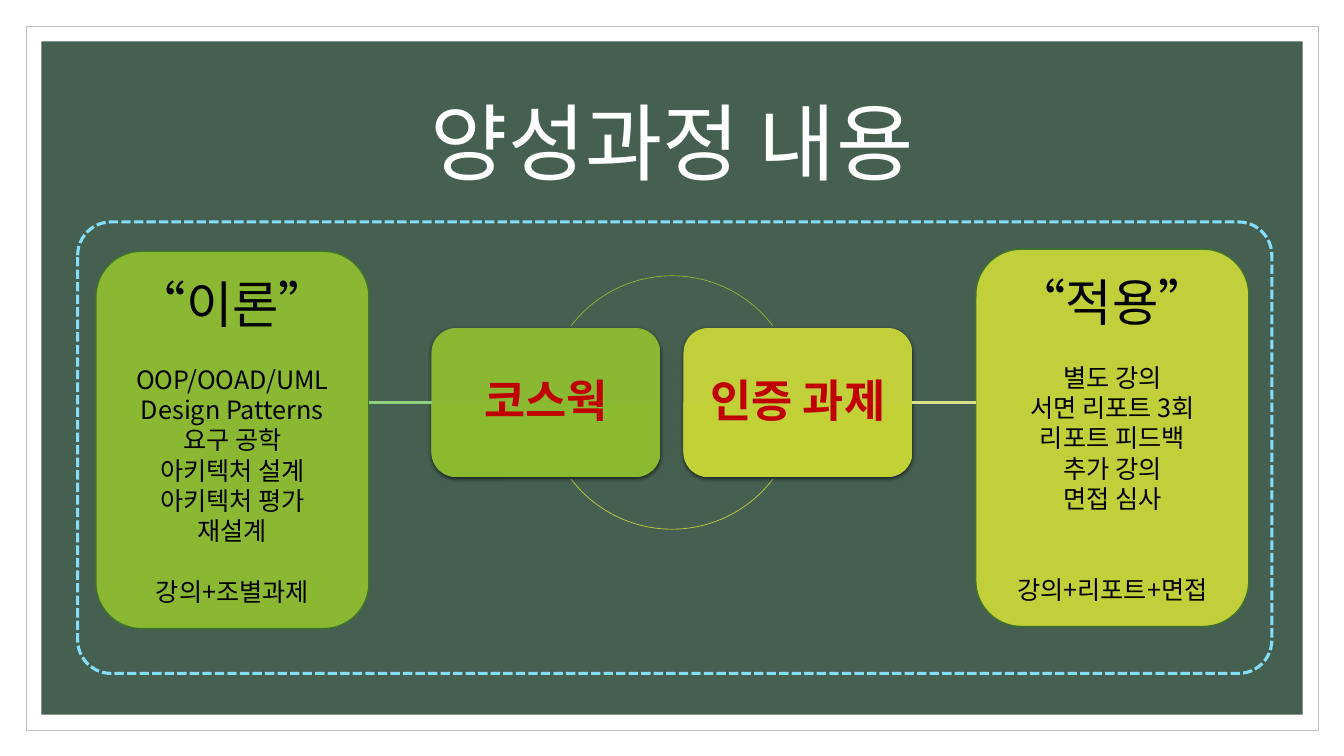
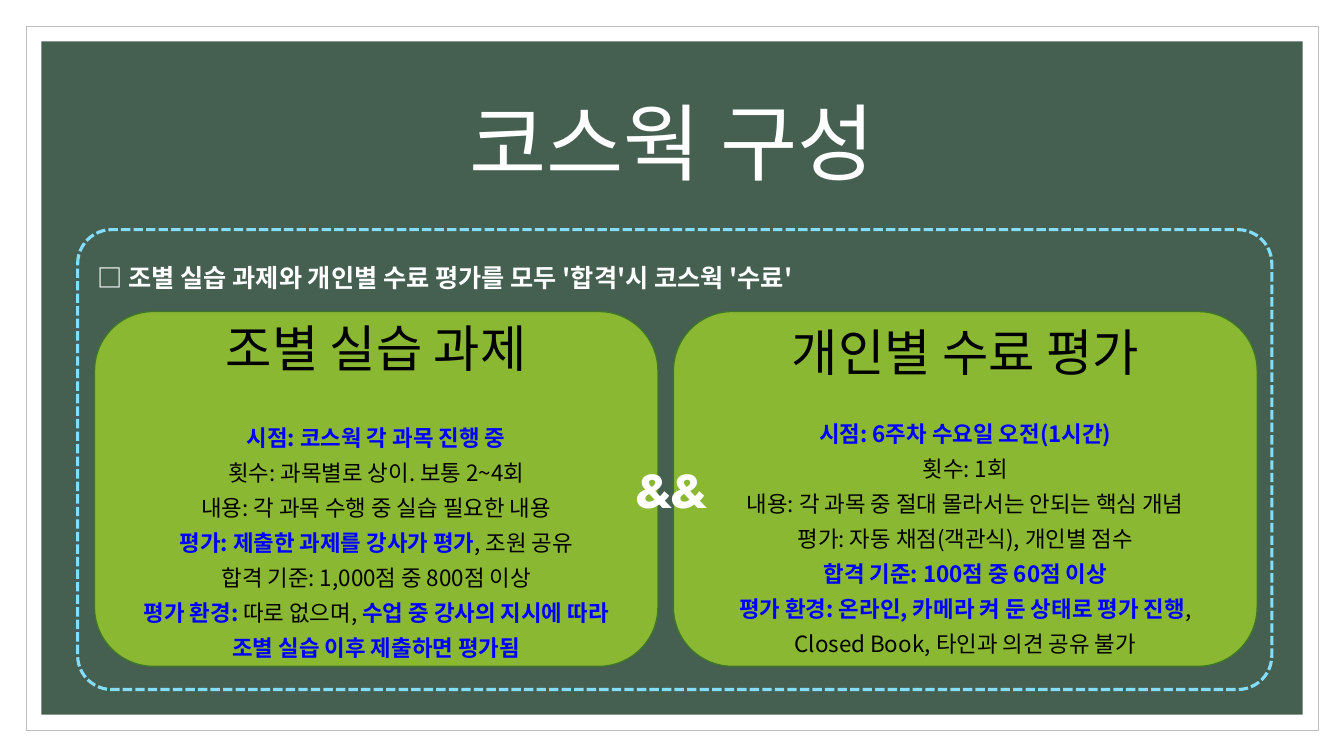
from dataclasses import dataclass
from lxml.etree import SubElement
from pptx import Presentation
from pptx.dml.color import RGBColor
from pptx.enum.dml import MSO_LINE
from pptx.enum.shapes import MSO_CONNECTOR, MSO_SHAPE
from pptx.enum.text import MSO_ANCHOR, PP_ALIGN
from pptx.oxml.ns import qn
from pptx.util import Pt


@dataclass(frozen=True)
class Style:
    size: float
    color: str
    bold: bool = False
    leading: float = 1.2
    font: str = "Noto Sans CJK KR"


@dataclass(frozen=True)
class Theme:
    paper: str = "FFFFFF"
    frame: str = "BFBFBF"
    board: str = "455F51"
    dash: str = "84DDF9"
    green: str = "8AB833"
    lime: str = "C0CF3A"
    card_edge: str = "3E752A"
    green_link: str = "93D07D"
    lime_link: str = "D9E289"
    green_end: str = "8ABA2F"
    lime_end: str = "C1D136"
    shadow: str = "000000"
    title: Style = Style(60, "FFFFFF", leading=1.08)
    heading: Style = Style(36, "000000")
    item: Style = Style(18, "000000")
    detail: Style = Style(16, "000000", leading=1.56)
    key: Style = Style(16, "0000FF", bold=True, leading=1.56)
    step: Style = Style(32, "C00000", bold=True, leading=1.08)
    notice: Style = Style(18, "FFFFFF", bold=True)
    joiner: Style = Style(36, "FFFFFF", bold=True, font="League Spartan")


THEME = Theme()
WIDTH, HEIGHT = 960, 540
FRAME_MARGIN, BOARD_MARGIN = 18.5, 29.5
TITLE_AREA = (84, 50.5, 792, 108)
PANEL_LEFT, PANEL_WIDTH = 55.5, 853
STEP_WIDTH, STEP_HEIGHT, STEP_GAP = 163.5, 106.5, 16.5
CENTRE_X, CENTRE_Y = WIDTH / 2, 287.5
RING_RADIUS = 90.5
RING_ARCS = [(217.2, 322.8, THEME.green), (37.2, 142.8, THEME.lime)]
LINKS = [(263.5, 308.5, THEME.green_link), (651.5, 697, THEME.lime_link)]
STEPS = [
    ("코스웍", THEME.green, THEME.green_end),
    ("인증 과제", THEME.lime, THEME.lime_end),
]


def single(text, style, gap=0):
    return gap, [(text, style)]


def card_rows(heading, items, gap, closing):
    first, *rest = items
    return [
        single(heading, THEME.heading),
        single(first, THEME.item, 21.6),
        *[single(text, THEME.item) for text in rest],
        single(closing, THEME.item, gap),
    ]


CONTENT_CARDS = [
    ((68.5, 179.5, 195, 269.5), THEME.green, card_rows(
        "“이론”",
        ["OOP/OOAD/UML", "Design Patterns", "요구 공학",
         "아키텍처 설계", "아키텍처 평가", "재설계"],
        21.6, "강의+조별과제")),
    ((697, 178, 195, 269.5), THEME.lime, card_rows(
        "“적용”",
        ["별도 강의", "서면 리포트 3회", "리포트 피드백", "추가 강의", "면접 심사"],
        43.2, "강의+리포트+면접")),
]
COURSEWORK_CARDS = [
    ((67.5, 222.5, 402.5, 253.5), THEME.green, [
        single("조별 실습 과제", THEME.heading),
        single("시점: 코스웍 각 과목 진행 중", THEME.key, 28),
        single("횟수: 과목별로 상이. 보통 2~4회", THEME.detail),
        single("내용: 각 과목 수행 중 실습 필요한 내용", THEME.detail),
        (0, [("평가: 제출한 과제를 강사가 평가", THEME.key),
             (", 조원 공유", THEME.detail)]),
        single("합격 기준: 1,000점 중 800점 이상", THEME.detail),
        (0, [("평가 환경: ", THEME.key), ("따로 없으며, ", THEME.detail),
             ("수업 중 강사의 지시에 따라 조별 실습 이후 제출하면 평가됨", THEME.key)]),
    ]),
    ((481, 222.5, 417, 253.5), THEME.green, [
        single("개인별 수료 평가", THEME.heading),
        single("시점: 6주차 수요일 오전(1시간)", THEME.key, 21.6),
        single("횟수: 1회", THEME.detail),
        single("내용: 각 과목 중 절대 몰라서는 안되는 핵심 개념", THEME.detail),
        single("평가: 자동 채점(객관식), 개인별 점수", THEME.detail),
        single("합격 기준: 100점 중 60점 이상", THEME.key),
        (0, [("평가 환경: 온라인, 카메라 켜 둔 상태로 평가 진행", THEME.key),
             (",", THEME.detail)]),
        single("Closed Book, 타인과 의견 공유 불가", THEME.detail),
    ]),
]
NOTICE = "□ 조별 실습 과제와 개인별 수료 평가를 모두 '합격'시 코스웍 '수료'"


def points(values):
    return [Pt(value) for value in values]


def rgb(color):
    return RGBColor.from_string(color)


def write(text_frame, rows, align=PP_ALIGN.CENTER, anchor=MSO_ANCHOR.MIDDLE):
    text_frame.word_wrap = True
    text_frame.vertical_anchor = anchor
    for index, (gap, spans) in enumerate(rows):
        para = text_frame.add_paragraph() if index else text_frame.paragraphs[0]
        para.alignment = align
        lead = spans[0][1]
        para.line_spacing = Pt(round(lead.size * lead.leading, 2))
        if gap:
            para.space_before = Pt(gap)
        for text, style in spans:
            span = para.add_run()
            span.text = text
            span.font.size = Pt(style.size)
            span.font.bold = style.bold
            span.font.name = style.font
            span.font.color.rgb = rgb(style.color)
            SubElement(span.font._element, qn("a:ea"), typeface=style.font)


def add_box(slide, kind, area, fill=None, line=None, weight=1):
    box = slide.shapes.add_shape(kind, *points(area))
    box.shadow.inherit = False
    if fill:
        box.fill.solid()
        box.fill.fore_color.rgb = rgb(fill)
    else:
        box.fill.background()
    if line:
        box.line.color.rgb = rgb(line)
        box.line.width = Pt(weight)
    else:
        box.line.fill.background()
    return box


def add_panel(slide, top, height):
    area = (PANEL_LEFT, top, PANEL_WIDTH, height)
    panel = add_box(slide, MSO_SHAPE.ROUNDED_RECTANGLE, area, line=THEME.dash, weight=2.25)
    panel.adjustments[0] = 0.074
    panel.line.dash_style = MSO_LINE.SQUARE_DOT
    return panel


def add_cards(slide, cards):
    for area, fill, rows in cards:
        card = add_box(slide, MSO_SHAPE.ROUNDED_RECTANGLE, area, fill, THEME.card_edge)
        write(card.text_frame, rows)


def add_step(slide, left, text, start, end):
    area = (left, CENTRE_Y - STEP_HEIGHT / 2, STEP_WIDTH, STEP_HEIGHT)
    step = add_box(slide, MSO_SHAPE.ROUNDED_RECTANGLE, area, start)
    step.fill.gradient()
    step.fill.gradient_angle = 270
    for stop, color in zip(step.fill.gradient_stops, (start, end)):
        stop.color.rgb = rgb(color)
    effects = step._element.spPr.find(qn("a:effectLst"))
    shadow = SubElement(effects, qn("a:outerShdw"), blurRad=str(Pt(3)), dist=str(Pt(1)),
                        dir="5400000", algn="ctr", rotWithShape="0")
    tone = SubElement(shadow, qn("a:srgbClr"), val=THEME.shadow)
    SubElement(tone, qn("a:alpha"), val="63000")
    write(step.text_frame, [single(text, THEME.step)])


def add_ring(slide):
    area = (CENTRE_X - RING_RADIUS, CENTRE_Y - RING_RADIUS, 2 * RING_RADIUS, 2 * RING_RADIUS)
    for start, end, color in RING_ARCS:
        arc = add_box(slide, MSO_SHAPE.ARC, area, line=color, weight=0.5)
        arc.adjustments[0] = start * 0.6
        arc.adjustments[1] = end * 0.6


def add_link(slide, start, end, color):
    link = slide.shapes.add_connector(
        MSO_CONNECTOR.STRAIGHT, *points((start, CENTRE_Y, end, CENTRE_Y)))
    link.line.color.rgb = rgb(color)
    link.line.width = Pt(2.25)
    SubElement(link._element.spPr, qn("a:effectLst"))


def prepare_layout(deck, slide):
    layout = slide.slide_layout
    title = layout.placeholders[0]
    title.left, title.top, title.width, title.height = points(TITLE_AREA)
    tree = layout.shapes._spTree
    layers = [(FRAME_MARGIN, THEME.paper, THEME.frame), (BOARD_MARGIN, THEME.board, None)]
    for index, (margin, fill, line) in enumerate(layers):
        area = (margin, margin, WIDTH - 2 * margin, HEIGHT - 2 * margin)
        band = add_box(slide, MSO_SHAPE.RECTANGLE, area, fill, line, 0.5)
        tree.insert(2 + index, band._element)


def add_page(deck, title):
    page = deck.slides.add_slide(deck.slide_layouts[5])
    if len(deck.slides) == 1:
        prepare_layout(deck, page)
    heading = page.shapes.title
    heading.left, heading.top, heading.width, heading.height = points(TITLE_AREA)
    write(heading.text_frame, [single(title, THEME.title)])
    return page


def build_content(deck):
    page = add_page(deck, "양성과정 내용")
    add_panel(page, 158.5, 322.5)
    add_ring(page)
    first_left = CENTRE_X - STEP_GAP / 2 - STEP_WIDTH
    for index, step in enumerate(STEPS):
        add_step(page, first_left + index * (STEP_WIDTH + STEP_GAP), *step)
    add_cards(page, CONTENT_CARDS)
    for link in LINKS:
        add_link(page, *link)


def build_coursework(deck):
    page = add_page(deck, "코스웍 구성")
    panel = add_panel(page, 164, 328.5)
    panel.text_frame.margin_top = Pt(16.5)
    write(panel.text_frame, [single(NOTICE, THEME.notice)], PP_ALIGN.LEFT, MSO_ANCHOR.TOP)
    add_cards(page, COURSEWORK_CARDS)
    joiner = page.shapes.add_textbox(*points((442, 323.5, 75.5, 51)))
    write(joiner.text_frame, [single("&&", THEME.joiner)])


def main():
    deck = Presentation()
    deck.slide_width, deck.slide_height = Pt(WIDTH), Pt(HEIGHT)
    build_content(deck)
    build_coursework(deck)
    deck.save("out.pptx")


if __name__ == "__main__":
    main()
